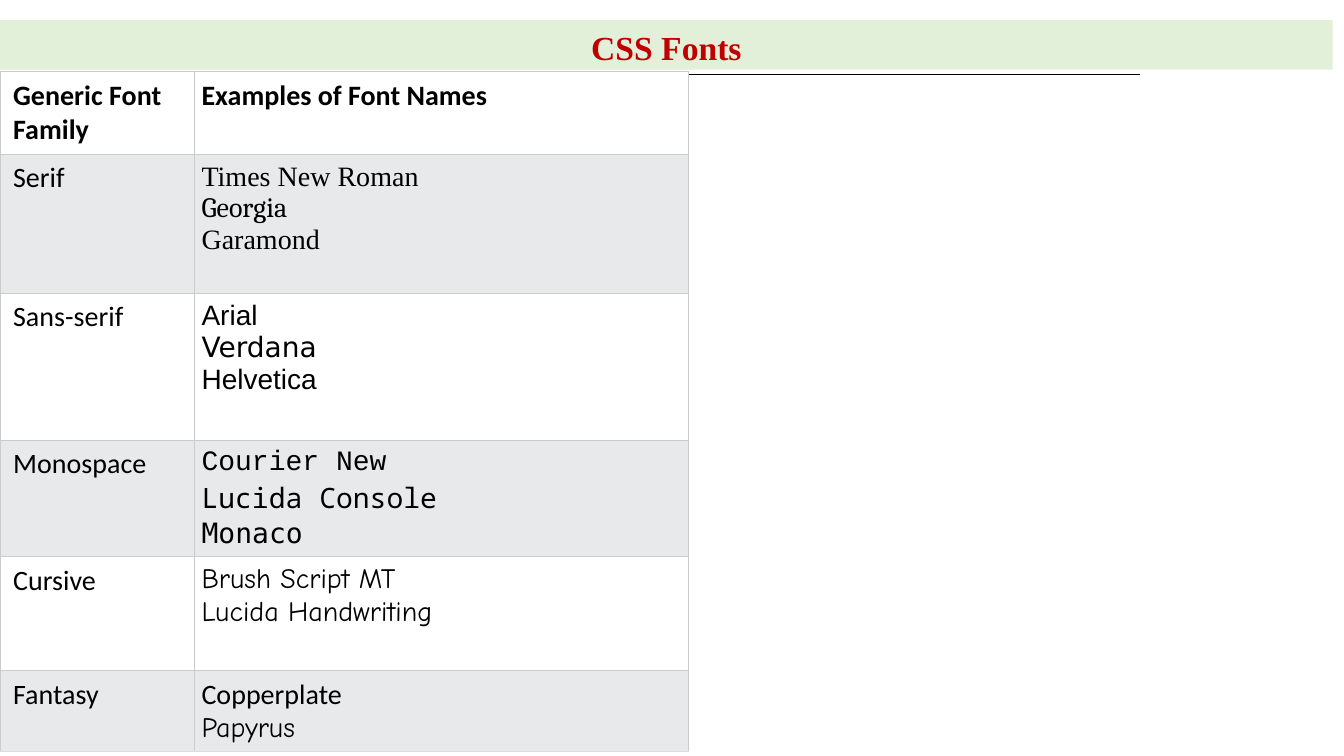
from lxml.etree import SubElement
from pptx import Presentation
from pptx.dml.color import RGBColor
from pptx.enum.shapes import MSO_CONNECTOR
from pptx.enum.text import MSO_ANCHOR, MSO_AUTO_SIZE, PP_ALIGN
from pptx.oxml.ns import qn
from pptx.util import Pt

BLACK = RGBColor(0x00, 0x00, 0x00)
WHITE = RGBColor(0xFF, 0xFF, 0xFF)
RED = RGBColor(0xC0, 0x00, 0x00)
MINT = RGBColor(0xE2, 0xF0, 0xD9)
BAND = RGBColor(0xE7, 0xE9, 0xEB)
RULE = RGBColor(0xCC, 0xCC, 0xCC)
LAST_RULE = RGBColor(0xDD, 0xDD, 0xDD)

SERIF, SANS, BODY, HAND = "Times New Roman", "Arial", "Calibri", "Comic Neue"
COL_WIDTHS = [139, 353]
ROWS = [
    (57.9, "Generic Font Family", [("Examples of Font Names", BODY)]),
    (99.3, "Serif", [("Times New Roman", SERIF), ("Georgia", "Cambria"),
                     ("Garamond", SERIF)]),
    (105, "Sans-serif", [("Arial", SANS), ("Verdana", "DejaVu Sans"),
                         ("Helvetica", SANS)]),
    (81.4, "Monospace", [("Courier New", "Courier New"),
                         ("Lucida Console", "Noto Sans Mono"),
                         ("Monaco", "DejaVu Sans Mono")]),
    (81.4, "Cursive", [("Brush Script MT", HAND), ("Lucida Handwriting", HAND)]),
    (57.1, "Fantasy", [("Copperplate", BODY), ("Papyrus", HAND)]),
]


def add_title(s, text, x, y, w, h):
    sp = s.shapes.title
    sp.left, sp.top, sp.width, sp.height = Pt(x), Pt(y), Pt(w), Pt(h)
    sp.fill.solid()
    sp.fill.fore_color.rgb = MINT
    tf = sp.text_frame
    tf.text = text
    tf.auto_size = MSO_AUTO_SIZE.NONE
    tf.vertical_anchor = MSO_ANCHOR.MIDDLE
    tf.margin_top, tf.margin_bottom = Pt(3.6), Pt(0)
    p = tf.paragraphs[0]
    p.alignment = PP_ALIGN.CENTER
    p.font.name, p.font.size, p.font.bold = SERIF, Pt(24), True
    p.font.color.rgb = RED


def add_rule(s, x, y, w):
    line = s.shapes.add_connector(MSO_CONNECTOR.STRAIGHT, Pt(x), Pt(y), Pt(x + w), Pt(y))
    line.line.color.rgb = BLACK
    line.line.width = Pt(0.5)
    SubElement(line._element.spPr, qn("a:effectLst"))


def set_borders(cell, bottom):
    tcPr = cell._tc.get_or_add_tcPr()
    for side, color in zip("LRTB", (RULE, RULE, RULE, bottom)):
        ln = SubElement(tcPr, qn(f"a:ln{side}"), w=str(Pt(0.75)))
        fill = SubElement(ln, qn("a:solidFill"))
        SubElement(fill, qn("a:srgbClr"), val=str(color))


def fill_cell(cell, names, left, color, bottom, bold):
    set_borders(cell, bottom)
    cell.fill.solid()
    cell.fill.fore_color.rgb = color
    cell.margin_left = Pt(left)
    cell.margin_right = cell.margin_top = cell.margin_bottom = Pt(5)
    p = cell.text_frame.paragraphs[0]
    p.font.size, p.font.bold = Pt(20), bold
    p.font.color.rgb = BLACK
    for i, (name, font) in enumerate(names):
        if i:
            p.add_line_break()
        r = p.add_run()
        r.text = name
        r.font.name = font


def add_font_table(s, x, y):
    w, h = sum(COL_WIDTHS), sum(row[0] for row in ROWS)
    table = s.shapes.add_table(len(ROWS), 2, Pt(x), Pt(y), Pt(w), Pt(h)).table
    table.first_row = table.horz_banding = False
    for col, width in zip(table.columns, COL_WIDTHS):
        col.width = Pt(width)
    for i, (height, family, examples) in enumerate(ROWS):
        table.rows[i].height = Pt(height)
        color = BAND if i % 2 else WHITE
        bottom = LAST_RULE if i == len(ROWS) - 1 else RULE
        fill_cell(table.cell(i, 0), [(family, BODY)], 9.4, color, bottom, i == 0)
        fill_cell(table.cell(i, 1), examples, 5, color, bottom, i == 0)


def main():
    prs = Presentation()
    prs.slide_width, prs.slide_height = Pt(960), Pt(540)
    s = prs.slides.add_slide(prs.slide_layouts[5])
    add_rule(s, 152, 53.2, 662)
    add_title(s, "CSS Fonts", 0, 14.4, 952, 35.3)
    add_font_table(s, 0, 51)
    prs.save("out.pptx")


if __name__ == "__main__":
    main()
